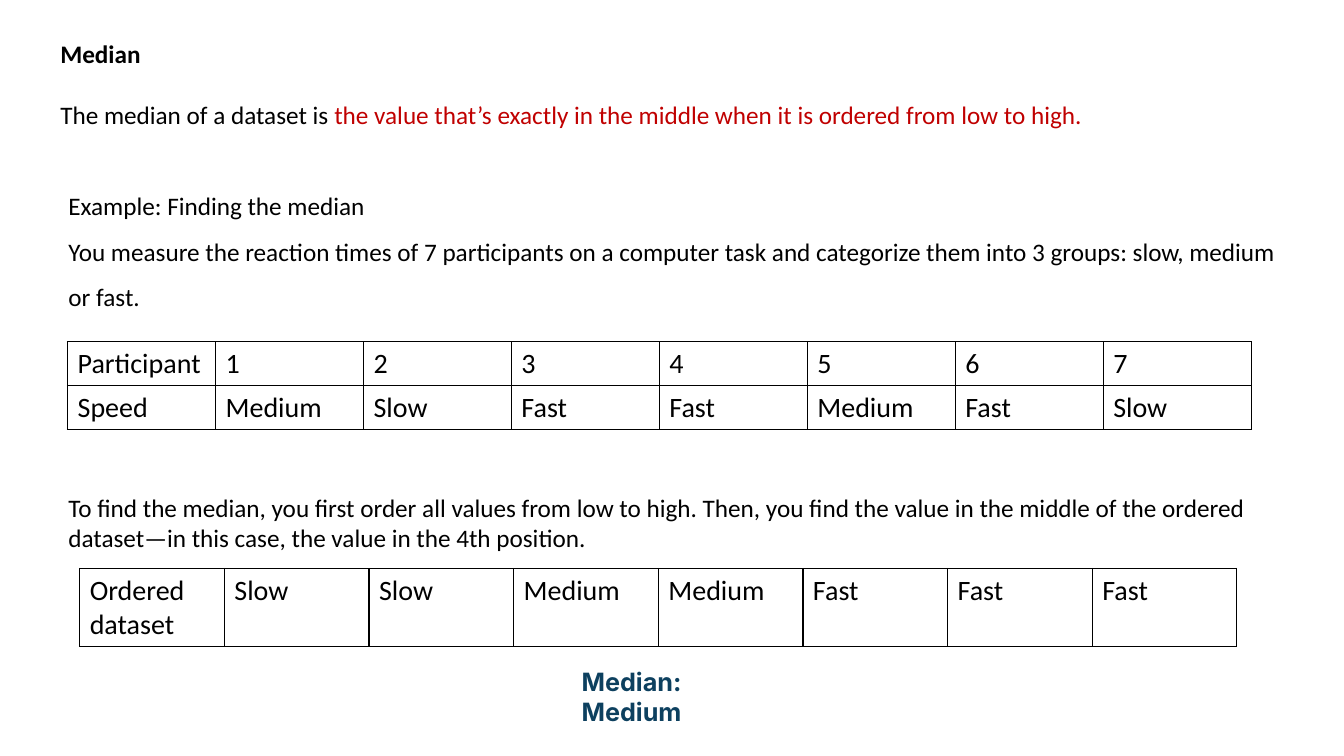
from lxml.etree import SubElement
from pptx import Presentation
from pptx.dml.color import RGBColor
from pptx.enum.text import MSO_AUTO_SIZE
from pptx.oxml.ns import qn
from pptx.util import Inches, Pt

BLACK, RED, NAVY = "000000", "C00000", "0D405F"
COLUMNS = 8


def colour(hex_value):
    return RGBColor.from_string(hex_value)


def style(run, size=18, hex_value=BLACK, bold=False, font="Calibri"):
    run.font.size = Pt(size)
    run.font.name = font
    run.font.bold = bold
    run.font.color.rgb = colour(hex_value)


def add_frame(slide, box):
    frame = slide.shapes.add_textbox(*map(Inches, box)).text_frame
    frame.word_wrap = True
    frame.auto_size = MSO_AUTO_SIZE.SHAPE_TO_FIT_TEXT
    return frame


def add_definition(slide, box):
    frame = add_frame(slide, box)
    frame.text = "Median\nThe median of a dataset is "
    heading, definition = frame.paragraphs
    style(heading.runs[0], bold=True)
    style(definition.runs[0])
    definition.space_before = Pt(22)
    meaning = definition.add_run()
    meaning.text = "the value that’s exactly in the middle when it is ordered from low to high."
    style(meaning, hex_value=RED)


def add_example(slide, box):
    frame = add_frame(slide, box)
    frame.text = (
        "Example: Finding the median\n"
        "You measure the reaction times of 7 participants on a computer task and "
        "categorize them into 3 groups: slow, medium or fast.\n"
        "To find the median, you first order all values from low to high. Then, you "
        "find the value in the middle of the ordered dataset—in this case, the value "
        "in the 4th position."
    )
    for paragraph in frame.paragraphs:
        style(paragraph.runs[0])
    example, task, method = frame.paragraphs
    example.line_spacing = task.line_spacing = 1.5
    method.space_before = Pt(129)  # room for the participant table


def add_borders(cell):
    properties = cell._tc.get_or_add_tcPr()
    for position, side in enumerate(("lnL", "lnR", "lnT", "lnB")):
        line = properties.makeelement(qn(f"a:{side}"), {"w": str(Pt(1))})
        properties.insert(position, line)
        fill = SubElement(line, qn("a:solidFill"))
        SubElement(fill, qn("a:srgbClr"), val=BLACK)


def add_data_table(slide, box, rows):
    table = slide.shapes.add_table(len(rows), COLUMNS, *map(Inches, box)).table
    table.first_row = table.horz_banding = False
    for r, values in enumerate(rows):
        for c, value in enumerate(values):
            cell = table.cell(r, c)
            cell.text = value
            style(cell.text_frame.paragraphs[0].runs[0], size=20)
            cell.fill.background()
            add_borders(cell)


def add_answer(slide, box):
    frame = add_frame(slide, box)
    frame.text = "Median: \vMedium"
    for run in frame.paragraphs[0].runs:
        style(run, hex_value=NAVY, bold=True, font="Inter")


def main():
    deck = Presentation()
    deck.slide_width, deck.slide_height = Inches(13.33), Inches(7.5)
    slide = deck.slides.add_slide(deck.slide_layouts[6])

    # Definition and worked example
    add_definition(slide, (0.5, 0.33, 11.44, 1.01))
    add_example(slide, (0.58, 1.69, 12.35, 4.19))

    # Measured values, then the same values in order
    add_data_table(slide, (0.67, 3.39, 11.74, 0.87), [
        ["Participant", *map(str, range(1, COLUMNS))],
        ["Speed", "Medium", "Slow", "Fast", "Fast", "Medium", "Fast", "Slow"],
    ])
    add_data_table(slide, (0.79, 5.64, 11.48, 0.77), [
        ["Ordered dataset", "Slow", "Slow", "Medium", "Medium", "Fast", "Fast", "Fast"],
    ])

    # Result
    add_answer(slide, (5.67, 6.56, 2.18, 0.4))
    deck.save("out.pptx")


if __name__ == "__main__":
    main()
